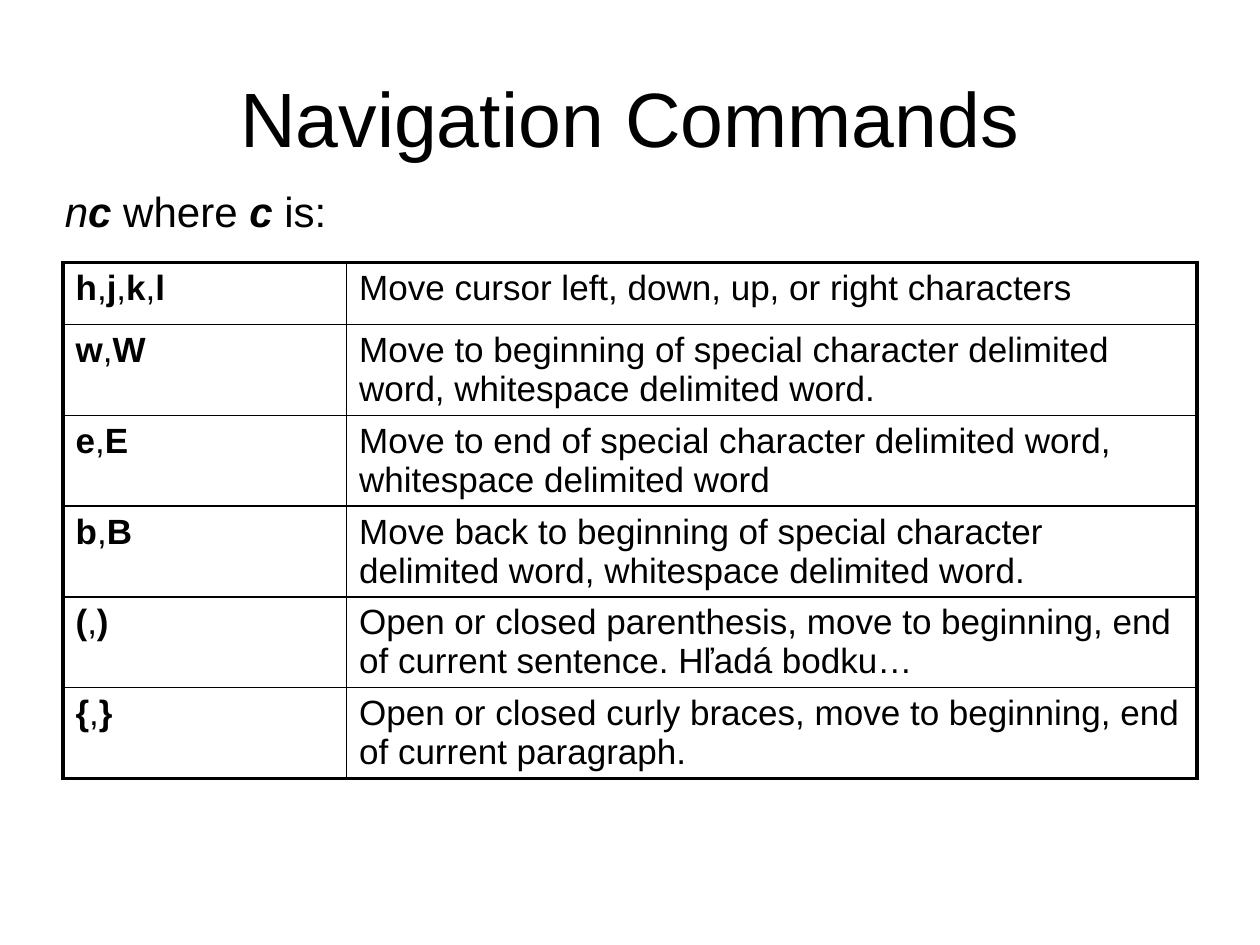
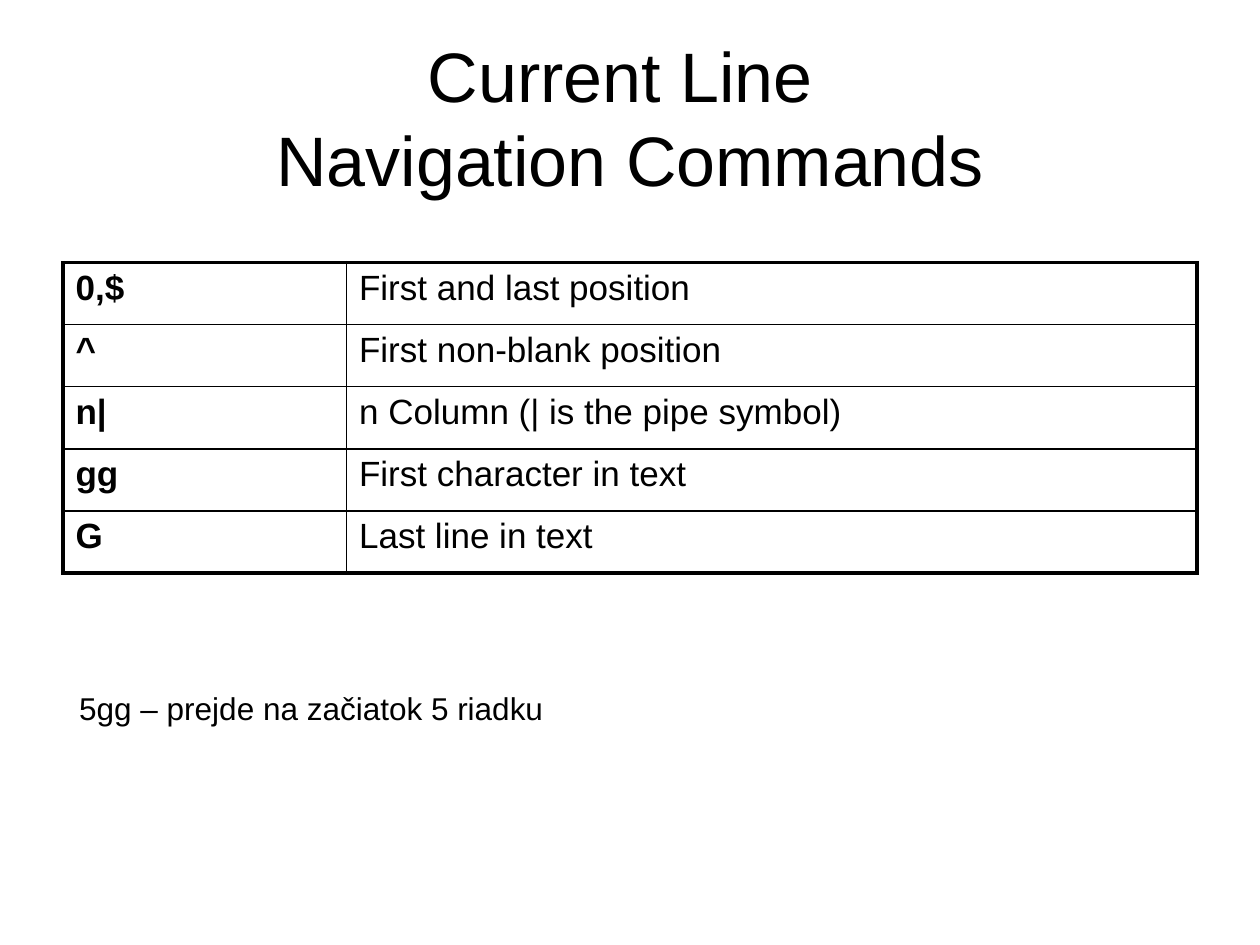
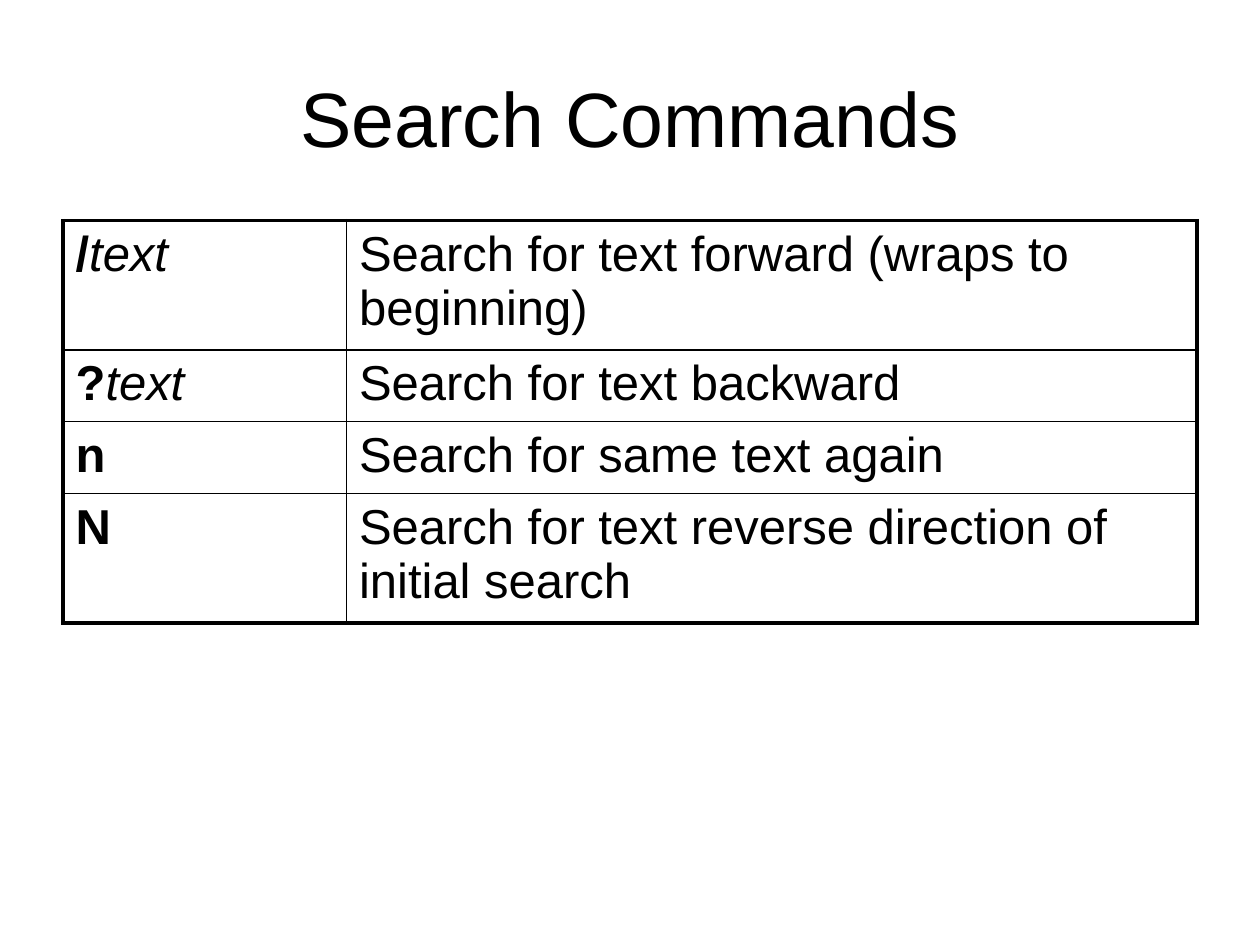
"""Build three slides of editor command tables."""
from lxml.etree import SubElement
from pptx import Presentation
from pptx.dml.color import RGBColor
from pptx.enum.text import MSO_ANCHOR as ANCHOR, MSO_AUTO_SIZE as AUTO, PP_ALIGN as ALIGN
from pptx.oxml.ns import qn
from pptx.util import Pt

BLACK = RGBColor(0, 0, 0)
FONT = "Arial"
LEFT, WIDTH = 36, 648
COLUMNS = (162, 486)
OUTER, INNER = 2.25, 1
ROW = 35.5
TALL_ROW = 51.8


def keys(*names):
    """Return bold key names with plain commas between them."""
    runs = [(names[0], "b")]
    for name in names[1:]:
        runs += [(",", ""), (name, "b")]
    return runs


def format_run(r, size, style=""):
    """Apply the shared font; style may hold b and i."""
    r.font.name, r.font.size = FONT, Pt(size)
    r.font.color.rgb = BLACK
    r.font.bold, r.font.italic = "b" in style, "i" in style


def write_runs(p, runs, size):
    """Fill a paragraph with (text, style) runs."""
    for text, style in runs:
        r = p.add_run()
        r.text = text
        format_run(r, size, style)


def add_titled_slide(prs, title, size=44):
    """Add a title-only slide with the shared title style."""
    s = prs.slides.add_slide(prs.slide_layouts[5])
    sp = s.shapes.title
    sp.left, sp.top, sp.width, sp.height = Pt(LEFT), Pt(21.6), Pt(WIDTH), Pt(90)
    tf = sp.text_frame
    tf.text = title
    tf.auto_size, tf.vertical_anchor = AUTO.NONE, ANCHOR.MIDDLE
    p = tf.paragraphs[0]
    p.alignment = ALIGN.CENTER
    for r in p.runs:
        format_run(r, size)
    return s


def add_note(s, left, top, width, height, runs, size):
    """Add one unwrapped line of text."""
    sp = s.shapes.add_textbox(Pt(left), Pt(top), Pt(width), Pt(height))
    tf = sp.text_frame
    tf.word_wrap, tf.auto_size = False, AUTO.SHAPE_TO_FIT_TEXT
    write_runs(tf.paragraphs[0], runs, size)


def set_borders(cell, widths):
    """Draw left, right, top and bottom cell borders in points."""
    tc_pr = cell._tc.get_or_add_tcPr()
    for side, width in zip("LRTB", widths):
        ln = SubElement(tc_pr, qn(f"a:ln{side}"), w=str(Pt(width)))
        fill = SubElement(ln, qn("a:solidFill"))
        SubElement(fill, qn("a:srgbClr"), val=str(BLACK))


def add_command_table(s, top, heights, commands, size=20):
    """Add a two-column table of commands and their meanings."""
    frame = s.shapes.add_table(len(commands), len(COLUMNS), Pt(LEFT), Pt(top),
                               Pt(WIDTH), Pt(sum(heights)))
    table = frame.table
    table.first_row = table.horz_banding = False
    for column, width in zip(table.columns, COLUMNS):
        column.width = Pt(width)
    last = len(commands) - 1
    for i, (command, meaning) in enumerate(commands):
        table.rows[i].height = Pt(heights[i])
        for j, runs in enumerate((command, [(meaning, "")])):
            cell = table.cell(i, j)
            edges = (j == 0, j == 1, i == 0, i == last)
            set_borders(cell, [OUTER if edge else INNER for edge in edges])
            cell.fill.background()
            write_runs(cell.text_frame.paragraphs[0], runs, size)


def add_navigation(prs):
    """Build the navigation commands slide."""
    s = add_titled_slide(prs, "Navigation Commands")
    add_command_table(s, 150, [ROW] + [TALL_ROW] * 5, [
        (keys("h", "j", "k", "l"), "Move cursor left, down, up, or right characters"),
        (keys("w", "W"), "Move to beginning of special character delimited word, "
                         "whitespace delimited word."),
        (keys("e", "E"), "Move to end of special character delimited word, "
                         "whitespace delimited word"),
        (keys("b", "B"), "Move back to beginning of special character delimited word, "
                         "whitespace delimited word."),
        (keys("(", ")"), "Open or closed parenthesis, move to beginning, "
                         "end of current sentence. Hľadá bodku…"),
        (keys("{", "}"), "Open or closed curly braces, move to beginning, "
                         "end of current paragraph."),
    ])
    add_note(s, 30, 102.5, 165.5, 36.5, [
        ("n", "i"), ("c", "bi"), (" where ", ""), ("c", "bi"), (" is:", "")], 24)


def add_current_line(prs):
    """Build the current line navigation slide."""
    s = add_titled_slide(prs, "Current Line \vNavigation Commands", 40)
    add_command_table(s, 150, [ROW] * 5, [
        (keys("0,$"), "First and last position"),
        (keys("^"), "First non-blank position"),
        (keys("n|"), "n Column (| is the pipe symbol)"),
        (keys("gg"), "First character in text"),
        (keys("G"), "Last line in text"),
    ])
    add_note(s, 38.2, 390, 282, 29, [("5gg – prejde na začiatok 5 riadku", "")], 18)


def add_search(prs):
    """Build the search commands slide."""
    s = add_titled_slide(prs, "Search Commands")
    add_command_table(s, 126, [74, 41, 41, 74], [
        ([("/", "b"), ("text", "i")], "Search for text forward (wraps to beginning)"),
        ([("?", "b"), ("text", "i")], "Search for text backward"),
        (keys("n"), "Search for same text again"),
        (keys("N"), "Search for text reverse direction of initial search"),
    ], 28)


def main():
    """Build and save the presentation."""
    prs = Presentation()
    prs.slide_width, prs.slide_height = Pt(720), Pt(540)
    add_navigation(prs)
    add_current_line(prs)
    add_search(prs)
    prs.save("out.pptx")


if __name__ == "__main__":
    main()
